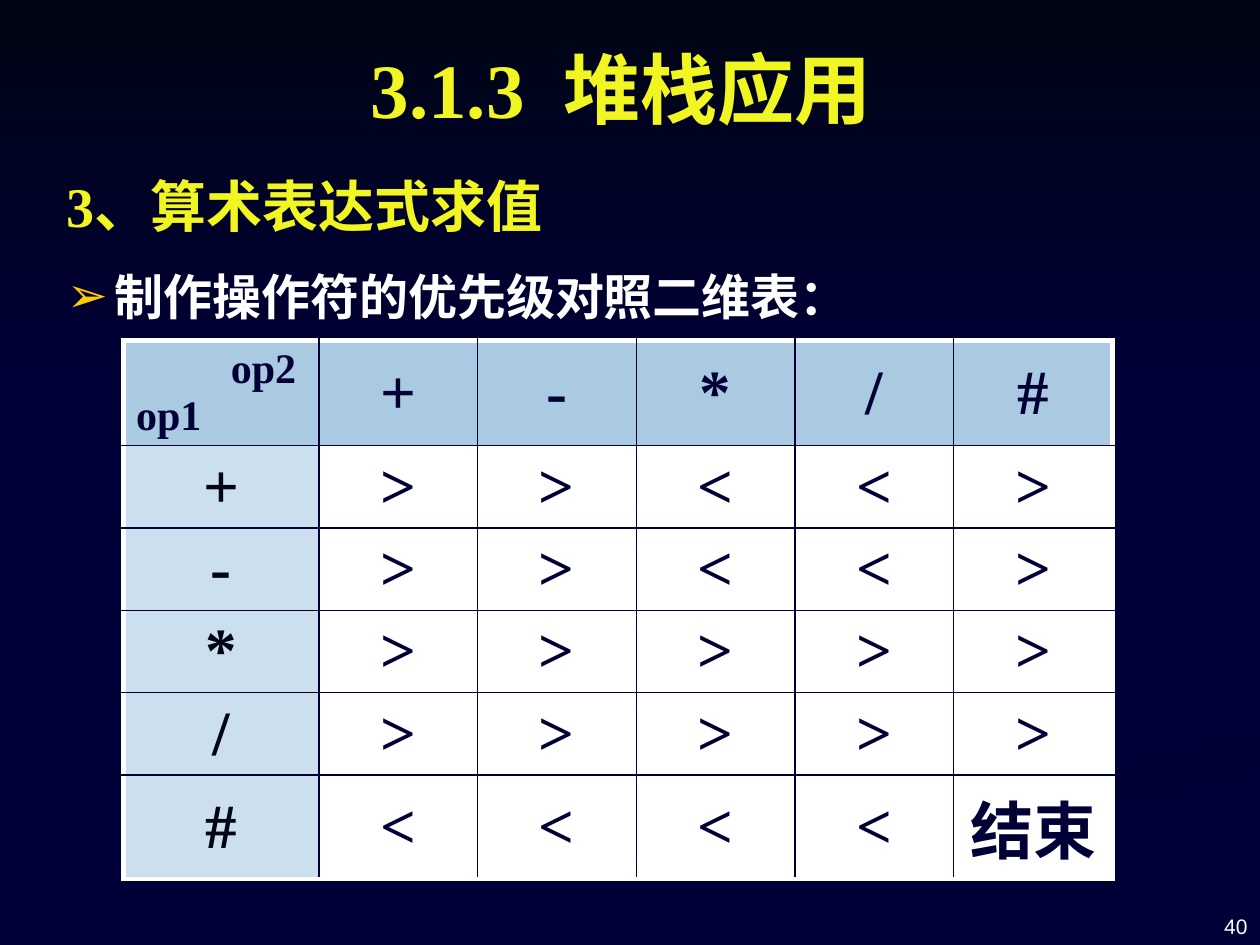
from dataclasses import dataclass

from lxml import etree
from pptx import Presentation
from pptx.dml.color import RGBColor
from pptx.enum.shapes import MSO_SHAPE
from pptx.enum.text import MSO_ANCHOR, MSO_AUTO_SIZE, PP_ALIGN
from pptx.oxml.ns import qn
from pptx.util import Inches, Pt

LEFT, CENTER, RIGHT = PP_ALIGN.LEFT, PP_ALIGN.CENTER, PP_ALIGN.RIGHT
TOP, MIDDLE, BOTTOM = MSO_ANCHOR.TOP, MSO_ANCHOR.MIDDLE, MSO_ANCHOR.BOTTOM
NO_AUTOFIT = MSO_AUTO_SIZE.NONE
RECTANGLE = MSO_SHAPE.RECTANGLE


@dataclass(frozen=True)
class Theme:
    serif: str = "Times New Roman"
    sans: str = "Arial"
    navy: str = "000036"
    black: str = "000514"
    shade: str = "000032"
    white: str = "FFFFFF"
    yellow: str = "F1F622"
    gold: str = "FFCC00"
    header: str = "AACAE2"
    row_label: str = "CCDFEE"
    title_size: int = 44
    heading_size: int = 32
    item_size: int = 28
    symbol_size: int = 36
    corner_size: int = 24
    number_size: int = 12


THEME = Theme()

# Outline of the faint ribbon, in hundredths of an inch.
RIBBON = [(503, 749), (571, 749), (670, 702), (785, 661), (998, 609),
          (998, 581), (764, 647), (630, 693)]

OPERATORS = ["+", "-", "*", "/", "#"]
PRECEDENCE = [
    [">", ">", "<", "<", ">"],
    [">", ">", "<", "<", ">"],
    [">", ">", ">", ">", ">"],
    [">", ">", ">", ">", ">"],
    ["<", "<", "<", "<", "结束"],
]


def rgb(color):
    return RGBColor.from_string(color)


def format_paragraph(paragraph, size, color, font=THEME.serif, bold=True,
                     align=LEFT):
    paragraph.alignment = align
    paragraph.font.name = font
    paragraph.font.size = Pt(size)
    paragraph.font.bold = bold
    paragraph.font.color.rgb = rgb(color)


def place(shape, left, top, width, height):
    shape.left, shape.top = Inches(left), Inches(top)
    shape.width, shape.height = Inches(width), Inches(height)


def fade_down(shape, start):
    """Fill from the start colour at the top to navy at the bottom."""
    shape.shadow.inherit = False
    shape.line.fill.background()
    shape.fill.gradient()
    shape.fill.gradient_angle = 270
    for position, color in enumerate((start, THEME.navy)):
        stop = shape.fill.gradient_stops[position]
        stop.color.rgb = rgb(color)
        stop.position = position


def add_background(slide):
    slide.background.fill.solid()
    slide.background.fill.fore_color.rgb = rgb(THEME.navy)
    placeholders = list(slide.placeholders)
    builder = slide.shapes.build_freeform(*RIBBON[0], scale=Inches(0.01))
    builder.add_line_segments(RIBBON[1:], close=True)
    fade_down(builder.convert_to_shape(), THEME.shade)
    band = slide.shapes.add_shape(RECTANGLE, 0, 0, Inches(10), Inches(3.08))
    fade_down(band, THEME.black)
    for placeholder in placeholders:  # bring the text in front
        slide.shapes.element.append(placeholder.element)


def set_bullet(paragraph, character, color, indent):
    properties = paragraph._p.get_or_add_pPr()
    properties.set("marL", str(Inches(indent)))
    properties.set("indent", str(-Inches(indent)))
    bullet_color = etree.SubElement(properties, qn("a:buClr"))
    etree.SubElement(bullet_color, qn("a:srgbClr"), val=color)
    etree.SubElement(properties, qn("a:buChar"), char=character)
    move_run_defaults_last(properties)


def clear_bullet(paragraph):
    properties = paragraph._p.get_or_add_pPr()
    properties.set("marL", "0")
    properties.set("indent", "0")
    etree.SubElement(properties, qn("a:buNone"))
    move_run_defaults_last(properties)


def move_run_defaults_last(properties):
    """Keep the element order that the schema asks for."""
    properties.append(properties.find(qn("a:defRPr")))


def fill_title(slide):
    title = slide.shapes.title
    place(title, 0.43, 0.16, 9, 1.07)
    frame = title.text_frame
    frame.text = "3.1.3  堆栈应用"
    frame.auto_size = NO_AUTOFIT
    frame.vertical_anchor = MIDDLE
    format_paragraph(frame.paragraphs[0], THEME.title_size, THEME.yellow,
                     align=CENTER)


def fill_body(slide):
    body = slide.placeholders[1]
    place(body, 0.43, 1.15, 9.37, 0.87)
    frame = body.text_frame
    frame.text = "3、算术表达式求值\n制作操作符的优先级对照二维表："
    frame.auto_size = NO_AUTOFIT
    frame.vertical_anchor = TOP
    heading, item = frame.paragraphs
    for paragraph, size, color in (
            (heading, THEME.heading_size, THEME.yellow),
            (item, THEME.item_size, THEME.white)):
        paragraph.line_spacing = 1.3
        paragraph.space_before = Pt(size * 0.2)
        format_paragraph(paragraph, size, color)
    clear_bullet(heading)
    set_bullet(item, "➢", THEME.gold, 0.38)


def set_borders(cell, outer_sides):
    """Draw thick white lines on the outer sides and thin navy ones elsewhere."""
    properties = cell._tc.get_or_add_tcPr()
    for index, side in enumerate("LRTB"):
        outer = side in outer_sides
        line = etree.Element(qn(f"a:ln{side}"), w=str(Pt(3 if outer else 1)))
        fill = etree.SubElement(line, qn("a:solidFill"))
        etree.SubElement(fill, qn("a:srgbClr"),
                         val=THEME.white if outer else THEME.navy)
        properties.insert(index, line)


def cell_colors(row, column):
    if row == 0:
        return THEME.header, THEME.navy
    if column == 0:
        return THEME.row_label, THEME.black
    return THEME.white, THEME.navy


def add_precedence_table(slide):
    rows = [["op2\nop1"] + OPERATORS]
    rows += [[name] + row for name, row in zip(OPERATORS, PRECEDENCE)]
    last = len(OPERATORS)
    table = slide.shapes.add_table(last + 1, last + 1, Inches(0.98), Inches(2.7),
                                   Inches(7.85), Inches(3.89)).table
    table.first_row = table.horz_banding = False
    for index in range(last + 1):
        table.columns[index].width = Inches(1.26 if index else 1.55)
        table.rows[index].height = Inches(0.63 if index else 0.74)
    for r, row in enumerate(rows):
        for c, text in enumerate(row):
            cell = table.cell(r, c)
            fill, color = cell_colors(r, c)
            cell.text = text
            cell.vertical_anchor = MIDDLE
            cell.fill.solid()
            cell.fill.fore_color.rgb = rgb(fill)
            for paragraph in cell.text_frame.paragraphs:
                format_paragraph(paragraph, THEME.symbol_size, color, align=CENTER)
            edges = {"L": c == 0, "R": c == last, "T": r == 0, "B": r == last}
            set_borders(cell, [side for side, outer in edges.items() if outer])
    corner = table.cell(0, 0)
    corner.vertical_anchor = TOP
    corner.margin_right = Inches(0.18)
    for paragraph, align in zip(corner.text_frame.paragraphs, (RIGHT, LEFT)):
        format_paragraph(paragraph, THEME.corner_size, THEME.navy, align=align)


def add_slide_number(slide):
    box = slide.shapes.add_textbox(Inches(7.67), Inches(6.98),
                                   Inches(2.33), Inches(0.52))
    frame = box.text_frame
    frame.word_wrap = True
    frame.vertical_anchor = BOTTOM
    frame.text = "40"
    format_paragraph(frame.paragraphs[0], THEME.number_size, THEME.white,
                     font=THEME.sans, bold=False, align=RIGHT)


def main():
    presentation = Presentation()
    presentation.slide_width, presentation.slide_height = Inches(10), Inches(7.5)
    slide = presentation.slides.add_slide(presentation.slide_layouts[1])
    add_background(slide)
    fill_title(slide)
    fill_body(slide)
    add_precedence_table(slide)
    add_slide_number(slide)
    presentation.save("out.pptx")


if __name__ == "__main__":
    main()
